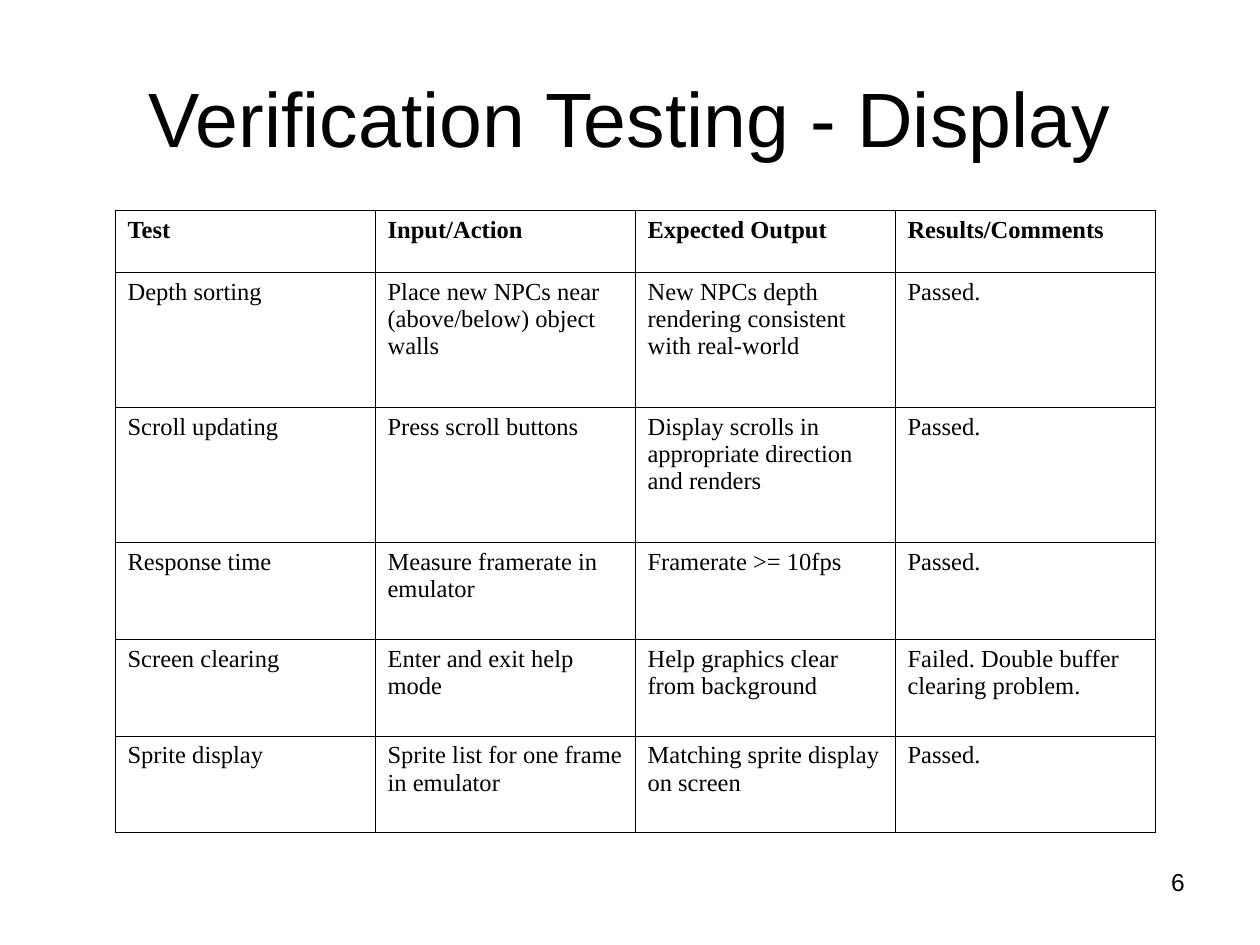
from lxml.etree import SubElement
from pptx import Presentation
from pptx.dml.color import RGBColor
from pptx.enum.text import MSO_ANCHOR, PP_ALIGN
from pptx.oxml.ns import qn
from pptx.util import Emu, Pt

HEADINGS = ["Test", "Input/Action", "Expected Output", "Results/Comments"]
TESTS = [
    ["Depth sorting", "Place new NPCs near (above/below) object walls",
     "New NPCs depth rendering consistent with real-world", "Passed."],
    ["Scroll updating", "Press scroll buttons",
     "Display scrolls in appropriate direction and renders", "Passed."],
    ["Response time", "Measure framerate in emulator", "Framerate >= 10fps", "Passed."],
    ["Screen clearing", "Enter and exit help mode",
     "Help graphics clear from background", "Failed. Double buffer clearing problem."],
    ["Sprite display", "Sprite list for one frame in emulator",
     "Matching sprite display on screen", "Passed."],
]
ROW_HEIGHTS = [62, 135, 135, 97, 97, 97]
INK = "000000"


def px(n):
    """Turn pixels into EMU at 126 pixels to the inch."""
    return Emu(round(n * 914400 / 126))


def color(value):
    """Turn a hex string into a colour."""
    return RGBColor.from_string(value)


def write(tf, text, size=14, font="Arial", bold=False, align=PP_ALIGN.LEFT,
          anchor=MSO_ANCHOR.TOP):
    """Write one formatted paragraph into a text frame."""
    tf.word_wrap = True
    tf.vertical_anchor = anchor
    p = tf.paragraphs[0]
    p.alignment = align
    r = p.add_run()
    r.text = text
    r.font.size = Pt(size)
    r.font.name = font
    r.font.bold = bold
    r.font.color.rgb = color(INK)


def add_text(s, box, text, **fmt):
    """Place a text box in the given box."""
    write(s.shapes.add_textbox(*map(px, box)).text_frame, text, **fmt)


def set_borders(cell):
    """Draw a thin line on all four sides of a cell."""
    props = cell._tc.get_or_add_tcPr()
    for i, side in enumerate(("lnL", "lnR", "lnT", "lnB")):
        ln = props.makeelement(qn(f"a:{side}"), {"w": str(Pt(0.45))})
        fill = SubElement(ln, qn("a:solidFill"))
        SubElement(fill, qn("a:srgbClr"), val=INK)
        props.insert(i, ln)


def add_results(s, box):
    """Place the table of tests in the given box."""
    rows = [HEADINGS] + TESTS
    table = s.shapes.add_table(len(rows), len(HEADINGS), *map(px, box)).table
    table.first_row = table.horz_banding = False
    for col in table.columns:
        col.width = px(box[2] / len(HEADINGS))
    for i, (row, height) in enumerate(zip(rows, ROW_HEIGHTS)):
        table.rows[i].height = px(height)
        for j, text in enumerate(row):
            cell = table.cell(i, j)
            cell.fill.background()
            set_borders(cell)
            write(cell.text_frame, text, font="Times New Roman", bold=i == 0)


def main():
    """Build the slide and save it."""
    prs = Presentation()
    prs.slide_width, prs.slide_height = px(1260), px(945)
    s = prs.slides.add_slide(prs.slide_layouts[6])
    add_text(s, (63, 38, 1134, 158), "Verification Testing - Display", size=44,
             align=PP_ALIGN.CENTER, anchor=MSO_ANCHOR.MIDDLE)
    add_results(s, (115, 210, 1040, sum(ROW_HEIGHTS)))
    add_text(s, (903, 861, 294, 65), "6", align=PP_ALIGN.RIGHT)
    prs.save("out.pptx")


if __name__ == "__main__":
    main()
